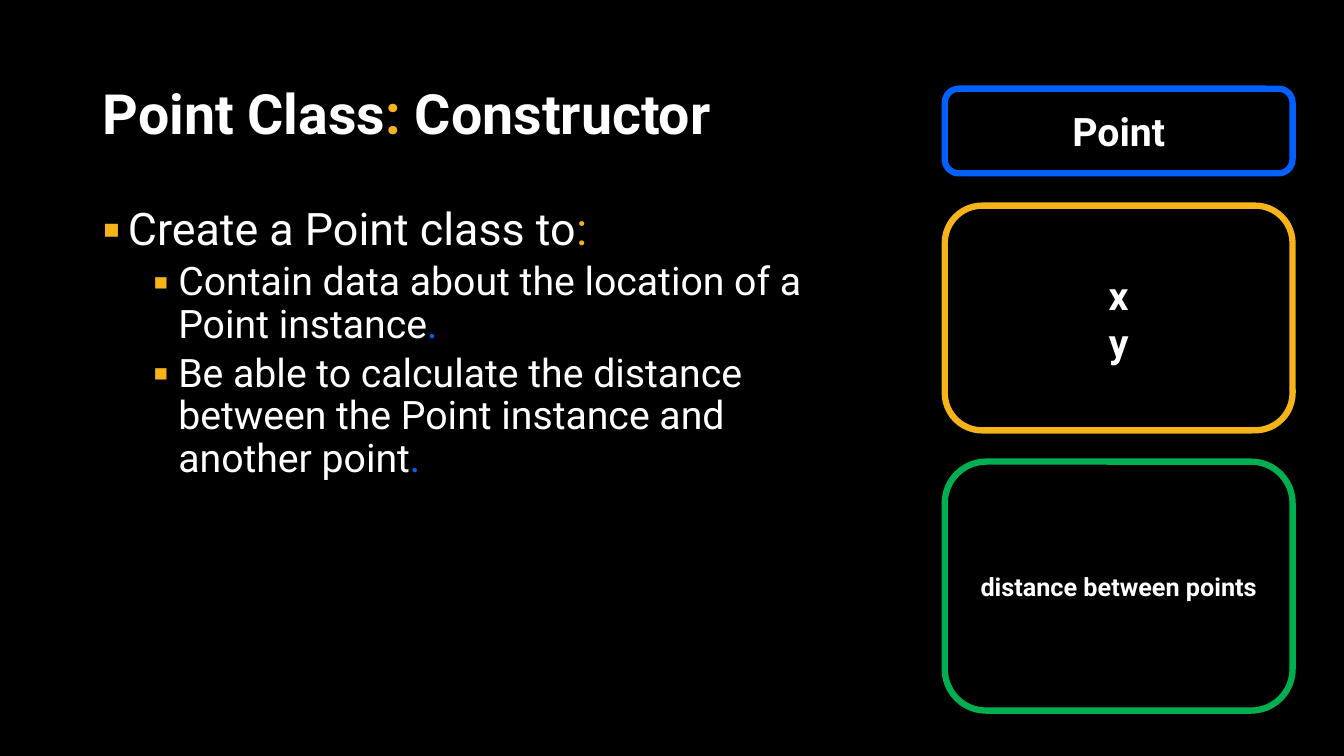
"""Build the Point Class constructor slide."""
from lxml import etree
from pptx import Presentation
from pptx.dml.color import RGBColor
from pptx.enum.shapes import MSO_SHAPE
from pptx.enum.text import MSO_ANCHOR, PP_ALIGN
from pptx.oxml.ns import qn
from pptx.util import Inches, Pt

ROUNDED = MSO_SHAPE.ROUNDED_RECTANGLE
MIDDLE = MSO_ANCHOR.MIDDLE
TOP = MSO_ANCHOR.TOP
LEFT = PP_ALIGN.LEFT
CENTER = PP_ALIGN.CENTER
COLORS = {"black": "000000", "white": "FFFFFF", "gold": "F7B41A",
          "blue": "0061FF", "green": "00B050"}
FONT = "Roboto"
TEXT_LEFT = 0.92
CARD_LEFT, CARD_WIDTH = 9.37, 3.45
BULLET_HANG = 0.25
LEVEL_STEP = 0.5


def color(name):
    return RGBColor.from_string(COLORS[name])


def write(para, text, size=28, bold=False, ink="white", align=LEFT):
    para.alignment = align
    span = para.add_run()
    span.text = text
    span.font.name = FONT
    span.font.size = Pt(size)
    span.font.bold = bold
    span.font.color.rgb = color(ink)


deck = Presentation()
deck.slide_width, deck.slide_height = Inches(13.33), Inches(7.5)
page = deck.slides.add_slide(deck.slide_layouts[6])
page.background.fill.solid()
page.background.fill.fore_color.rgb = color("black")

frames = []
for top, width, height, anchor in ((0.8, 11.5, 0.72, MIDDLE),
                                   (2, 7.31, 5.29, TOP)):
    box = page.shapes.add_textbox(Inches(TEXT_LEFT), Inches(top),
                                  Inches(width), Inches(height))
    box.text_frame.word_wrap = True
    box.text_frame.vertical_anchor = anchor
    frames.append(box.text_frame)
title, body = frames

heading = title.paragraphs[0]
heading.line_spacing = 0.9
for text, ink in (("Point Class", "white"), (":", "gold"),
                  (" Constructor", "white")):
    write(heading, text, size=39.6, bold=True, ink=ink)

bullets = [
    (0, "Create a Point class to", ":", "gold"),
    (1, "Contain data about the location of a Point instance", ".", "blue"),
    (1, "Be able to calculate the distance between the Point instance "
        "and another point", ".", "blue"),
]
for index, (level, text, mark, mark_ink) in enumerate(bullets):
    para = body.add_paragraph() if index else body.paragraphs[0]
    para.level = level
    para.line_spacing = 0.9
    para.space_before = Pt(5 if level else 10)
    size = 28 if level else 32
    write(para, text, size=size)
    write(para, mark, size=size, ink=mark_ink)
    props = para._p.get_or_add_pPr()
    props.set("marL", str(Inches(BULLET_HANG + level * LEVEL_STEP)))
    props.set("indent", str(-Inches(BULLET_HANG)))
    bullet_color = etree.SubElement(props, qn("a:buClr"))
    etree.SubElement(bullet_color, qn("a:srgbClr"), val=COLORS["gold"])
    etree.SubElement(props, qn("a:buFont"), typeface=FONT)
    etree.SubElement(props, qn("a:buChar"), char="▪")

cards = [
    (0.88, 0.84, "blue", ["Point"], 28),
    (2.04, 2.23, "gold", ["x", "y"], 28),
    (4.58, 2.47, "green", ["distance between points"], 18),
]
for top, height, outline, lines, size in cards:
    card = page.shapes.add_shape(ROUNDED, Inches(CARD_LEFT), Inches(top),
                                 Inches(CARD_WIDTH), Inches(height))
    card.shadow.inherit = False
    card.fill.background()
    card.line.color.rgb = color(outline)
    card.line.width = Pt(4.5)
    frame = card.text_frame
    frame.word_wrap = True
    frame.vertical_anchor = MIDDLE
    for index, text in enumerate(lines):
        para = frame.add_paragraph() if index else frame.paragraphs[0]
        write(para, text, size=size, bold=True, align=CENTER)

deck.save("out.pptx")
